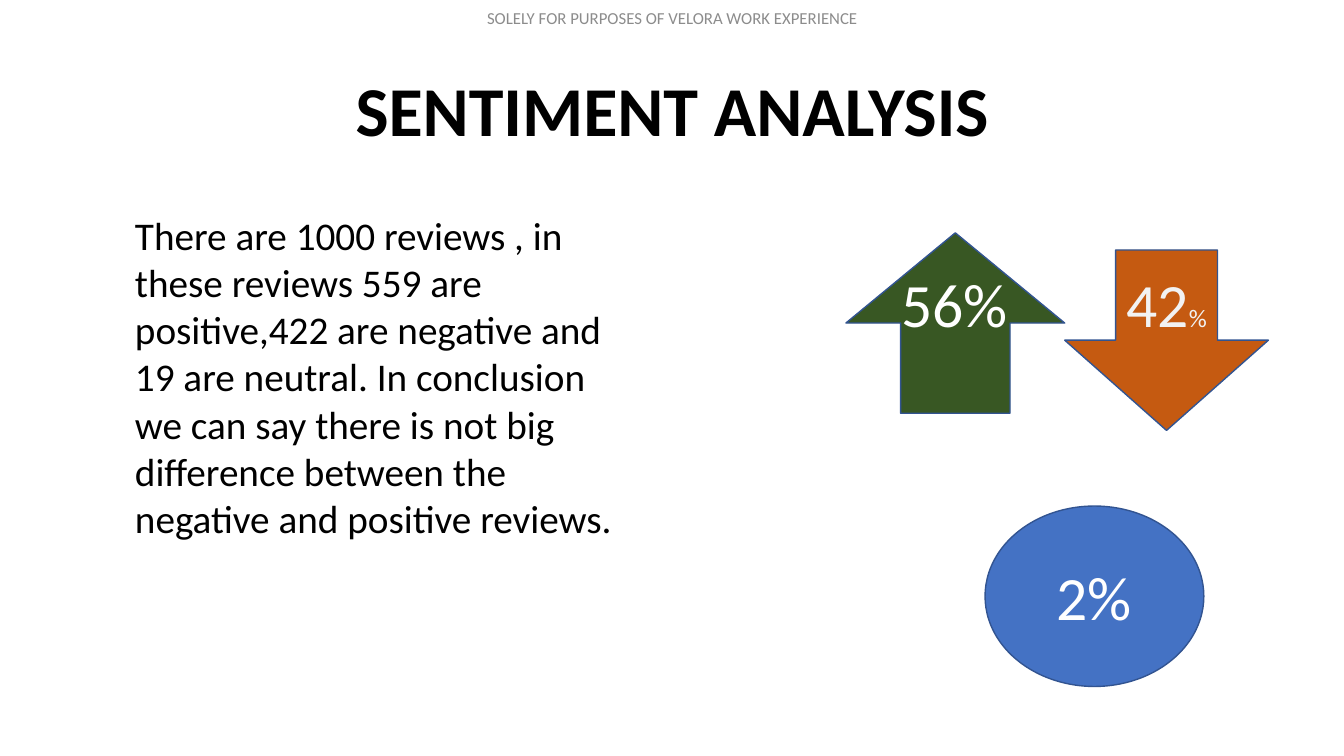
"""Build the sentiment analysis slide."""
import pptx
import pptx.util
import pptx.dml.color
import pptx.enum.shapes
import pptx.enum.text

Inches, Pt = pptx.util.Inches, pptx.util.Pt
SHAPE = pptx.enum.shapes.MSO_SHAPE
ALIGN = pptx.enum.text.PP_ALIGN
ANCHOR = pptx.enum.text.MSO_ANCHOR


def rgb(value):
    return pptx.dml.color.RGBColor.from_string(value)


def write(sp, text, size, color, align=ALIGN.CENTER, anchor=ANCHOR.MIDDLE, wrap=True):
    tf = sp.text_frame
    tf.word_wrap = wrap
    tf.vertical_anchor = anchor
    p = tf.paragraphs[0]
    p.alignment = align
    p.font.name = "Calibri"
    p.font.size = Pt(size)
    p.font.color.rgb = rgb(color)
    p.add_run().text = text
    return p


prs = pptx.Presentation()
prs.slide_width, prs.slide_height = Inches(13.33), Inches(7.5)
s = prs.slides.add_slide(prs.slide_layouts[6])

header = s.shapes.add_textbox(*map(Inches, (4.42, -0.02, 4.5, 0.4)))
write(header, "SOLELY FOR PURPOSES OF VELORA WORK EXPERIENCE", 12, "8C8C8C")

title = s.shapes.add_textbox(*map(Inches, (0.92, 0.4, 11.5, 1.45)))
p = write(title, "SENTIMENT ANALYSIS", 50, "000000")
p.font.bold = True
p.line_spacing = 0.9

body = s.shapes.add_textbox(*map(Inches, (1.24, 2.05, 5.01, 3.4)))
write(body, "There are 1000 reviews , in these reviews 559 are positive,422 are negative "
      "and 19 are neutral. In conclusion we can say there is not big difference "
      "between the negative and positive reviews.",
      28, "000000", ALIGN.LEFT, ANCHOR.TOP)

marks = {}
for name, kind, left, top, width, fill in (
    ("positive", SHAPE.UP_ARROW, 8.39, 2.31, 2.17, "385723"),
    ("negative", SHAPE.DOWN_ARROW, 10.56, 2.48, 2.02, "C55A11"),
    ("neutral", SHAPE.OVAL, 9.77, 5.02, 2.17, "4472C4"),
):
    sp = s.shapes.add_shape(kind, *map(Inches, (left, top, width, 1.79)))
    sp.shadow.inherit = False
    sp.fill.solid()
    sp.fill.fore_color.rgb = rgb(fill)
    sp.line.color.rgb = rgb("325491")
    sp.line.width = Pt(1)
    marks[name] = sp

p = write(marks["negative"], "42", 44, "F2F2F2")
r = p.add_run()
r.text = "%"
r.font.size = Pt(18)
marks["negative"].text_frame.margin_bottom = Inches(0.35)

write(marks["neutral"], "2%", 44, "FFFFFF")

share = s.shapes.add_textbox(*map(Inches, (8.84, 2.59, 1.27, 0.84)))
write(share, "56%", 44, "FFFFFF", ALIGN.LEFT, ANCHOR.TOP, wrap=False)

prs.save("out.pptx")
